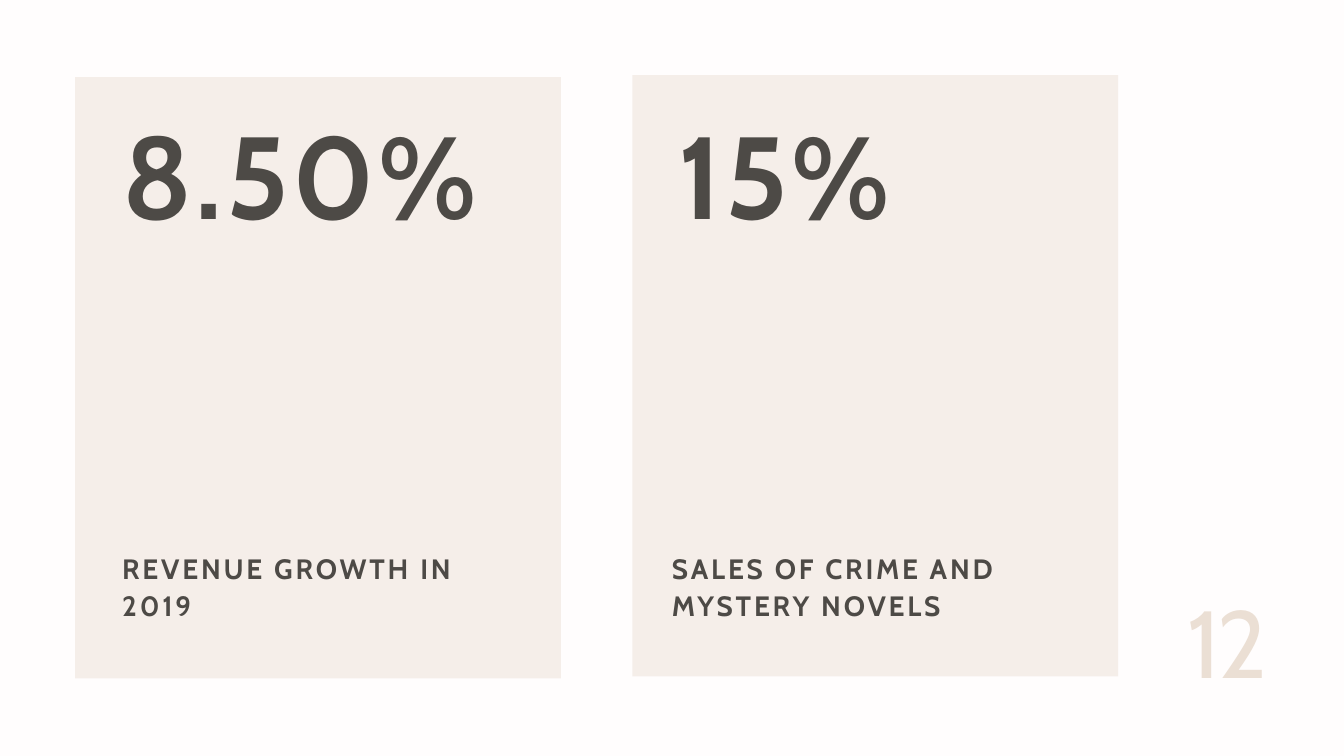
from lxml import etree
from pptx import Presentation
from pptx.dml.color import RGBColor
from pptx.enum import shapes
from pptx.oxml.ns import qn
from pptx.util import Cm, Pt

# Content: card left and top, figure and its left, label and its left (cm)
CARDS = [
    ((2.84, 2.92), ("8.50%", 4.62), ("REVENUE GROWTH IN 2019", 4.62)),
    ((23.9, 2.84), ("15%", 25.65), ("SALES OF CRIME AND MYSTERY NOVELS", 25.4)),
]
PAGE = "12"

# Colours, and type styles as size, line height, letter spacing, bold, colour
THEME = {
    "font": "Cabin",
    "back": "FFFDFD",
    "card": "E4D4C5",
    "alpha": 35,
    "figure": (125, 150, 3.8, True, "4D4A46"),
    "label": (30, 39, 3, True, "4D4A46"),
    "page": (102, None, -5, False, "EBDFD4"),
}


def add_card(slide, left, top):
    card = slide.shapes.add_shape(
        shapes.MSO_SHAPE.RECTANGLE, Cm(left), Cm(top), Cm(18.36), Cm(22.73))
    card.shadow.inherit = False
    card.line.fill.background()
    card.fill.solid()
    card.fill.fore_color.rgb = RGBColor.from_string(THEME["card"])
    color = card.fill._xPr.find(".//" + qn("a:srgbClr"))
    etree.SubElement(color, qn("a:alpha"), val=str(THEME["alpha"] * 1000))


def add_text(slide, words, style, left, top, width, height):
    size, line, gap, bold, color = THEME[style]
    box = slide.shapes.add_textbox(Cm(left), Cm(top), Cm(width), Cm(height))
    frame = box.text_frame
    frame.word_wrap = True
    frame.margin_left = frame.margin_right = 0
    frame.margin_top = frame.margin_bottom = 0
    para = frame.paragraphs[0]
    run = para.add_run()
    run.text = words
    run.font._element.set("spc", str(round(gap * 100)))
    if line:
        para.line_spacing = Pt(line)
    font = para.font
    font.name, font.size, font.bold = THEME["font"], Pt(size), bold
    font.color.rgb = RGBColor.from_string(color)


def main():
    deck = Presentation()
    deck.slide_width, deck.slide_height = Cm(50.8), Cm(28.58)
    slide = deck.slides.add_slide(deck.slide_layouts[6])
    fill = slide.background.fill
    fill.solid()
    fill.fore_color.rgb = RGBColor.from_string(THEME["back"])

    # Cards, each with a figure above and a label below
    for (left, top), (figure, fig_x), (label, lab_x) in CARDS:
        add_card(slide, left, top)
        add_text(slide, figure, "figure", fig_x, 3.89, 14.83, 5.28)
        add_text(slide, label, "label", lab_x, 20.75, 14.83, 2.72)

    # Page number
    add_text(slide, PAGE, "page", 44.9, 22.07, 5, 4.4)

    deck.save("out.pptx")


if __name__ == "__main__":
    main()
